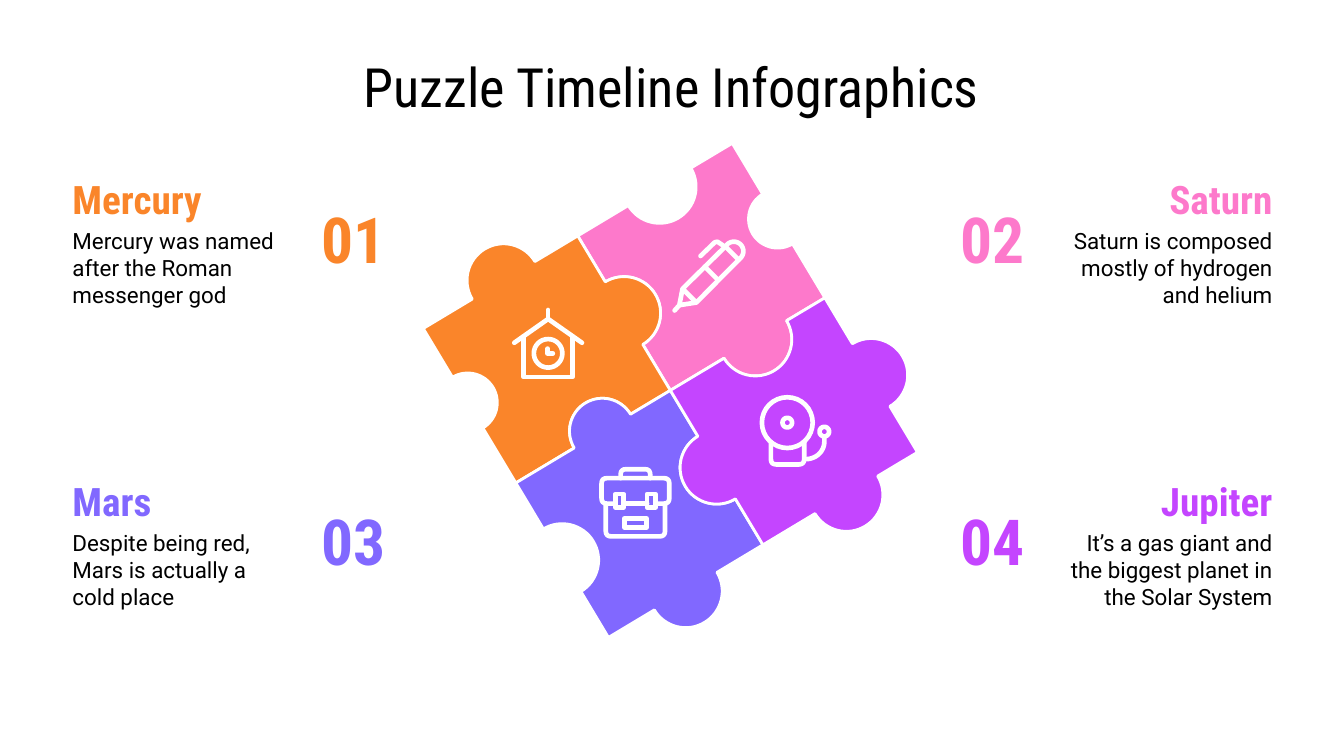
from dataclasses import dataclass
from math import cos, hypot, radians, sin

from lxml.etree import SubElement
from pptx import Presentation
from pptx.dml.color import RGBColor
from pptx.enum.text import MSO_ANCHOR, PP_ALIGN
from pptx.oxml.ns import qn
from pptx.util import Cm, Pt

Point = tuple[float, float]
Path = list[Point]


@dataclass(frozen=True)
class Theme:
    black: str = "000000"
    white: str = "FFFFFF"
    orange: str = "FA852A"
    pink: str = "FD79CB"
    violet: str = "8168FF"
    magenta: str = "C445FF"
    head_font: str = "Roboto Condensed"
    body_font: str = "Roboto"
    title: int = 29
    number: int = 34
    head: int = 21
    body: int = 12
    seam: float = 1.5
    stroke: float = 2.5


@dataclass(frozen=True)
class Knob:
    at: float
    side: int
    radius: float = 0.69


@dataclass(frozen=True)
class Planet:
    number: str
    name: str
    note: str
    color: str
    column: int
    row: int
    note_width: float = 4.39


@dataclass(frozen=True)
class Icon:
    x: float
    y: float
    paths: list[Path]


THEME = Theme()
CENTER = (12.67, 7.38)
ALONG = (2.92, -1.75)
DOWN = (1.75, 2.92)

ROW_EDGES = {
    (-1, -1): Knob(0.52, -1), (0, -1): Knob(0.53, 1),
    (-1, 0): Knob(0.56, -1, 0.62), (0, 0): Knob(0.55, 1),
    (-1, 1): Knob(0.5, 1), (0, 1): Knob(0.54, 1),
}
COLUMN_EDGES = {
    (-1, -1): Knob(0.48, 1, 0.56), (-1, 0): Knob(0.5, 1),
    (0, -1): Knob(0.5, 1), (0, 0): Knob(0.5, -1),
    (1, -1): Knob(0.49, -1, 0.55), (1, 0): Knob(0.5, 1),
}

PLANETS = [
    Planet("01", "Mercury", "Mercury was named after the Roman messenger god",
           THEME.orange, 0, 0, 4.93),
    Planet("03", "Mars", "Despite being red, Mars is actually a cold place",
           THEME.violet, 0, 1),
    Planet("02", "Saturn", "Saturn is composed mostly of hydrogen and helium",
           THEME.pink, 1, 0),
    Planet("04", "Jupiter", "It’s a gas giant and the biggest planet in the Solar System",
           THEME.magenta, 1, 1),
]


def arc(cx: float, cy: float, rx: float, start: float = 0, end: float = 360,
        ry: float | None = None, steps: int = 32) -> Path:
    ry = rx if ry is None else ry
    angles = [radians(start + (end - start) * n / steps) for n in range(steps + 1)]
    return [(cx + rx * cos(a), cy + ry * sin(a)) for a in angles]


def box(left: float, top: float, right: float, bottom: float) -> Path:
    return [(left, top), (right, top), (right, bottom), (left, bottom), (left, top)]


def rounded(points: Path, radius: float = 0.1) -> Path:
    result = [points[0]]
    for (ax, ay), (bx, by), (cx, cy) in zip(points, points[1:], points[2:]):
        ka, kc = radius / hypot(ax - bx, ay - by), radius / hypot(cx - bx, cy - by)
        for t in (0, 0.25, 0.5, 0.75, 1):
            p, q = ka * (1 - t) ** 2, kc * t ** 2
            result.append((bx + p * (ax - bx) + q * (cx - bx),
                           by + p * (ay - by) + q * (cy - by)))
    return result + [points[-1]]


ICONS = [
    Icon(13.41, 5.21, [
        [(-0.51, 0.25), (0.33, -0.58), *arc(0.46, -0.46, 0.18, 225, 405),
         (-0.25, 0.51), (-0.57, 0.56), (-0.51, 0.25), (-0.25, 0.51)],
        [(0.3, -0.55), (0.55, -0.3)],
        [(-0.09, -0.17), (0.16, 0.08)],
        [(-0.57, 0.56), (-0.66, 0.66)],
        [(-0.17, -0.37), (0.1, -0.63), (0.15, -0.64), (0.27, -0.56)],
    ]),
    Icon(12.01, 9.5, [
        rounded([(-0.38, 0.02), (-0.64, 0.02), (-0.64, -0.46),
                 (0.64, -0.46), (0.64, 0.02), (0.38, 0.02)]),
        [(-0.22, 0.02), (0.22, 0.02)],
        box(-0.38, -0.16, -0.22, 0.09),
        box(0.22, -0.16, 0.38, 0.09),
        rounded([(-0.56, 0.03), (-0.56, 0.64), (0.56, 0.64), (0.56, 0.03)]),
        rounded([(-0.28, -0.46), (-0.28, -0.63), (0.28, -0.63), (0.28, -0.46)]),
        box(-0.21, 0.3, 0.21, 0.47),
    ]),
    Icon(14.88, 7.99, [
        arc(0, 0, 0.48),
        arc(0, 0, 0.09),
        rounded([(-0.31, 0.37), (-0.31, 0.79), (0.32, 0.79), (0.32, 0.37)]),
        arc(0.7, 0.17, 0.09),
        [(0.7, 0.26), *arc(0.35, 0.36, 0.35, 0, 90, ry=0.33)],
    ]),
    Icon(10.36, 6.58, [
        [(-0.64, -0.1), (0, -0.55), (0.64, -0.1)],
        [(0, -0.72), (0, -0.55)],
        [(-0.46, -0.22), (-0.46, 0.55), (0.46, 0.55), (0.46, -0.22)],
        arc(0, 0.1, 0.27),
        [(-0.01, 0.01), (-0.01, 0.1), (0.09, 0.1)],
    ]),
]


def edge(i: int, j: int, run: Point, bulge: Point, knob: Knob) -> Path:
    x = CENTER[0] + i * ALONG[0] + j * DOWN[0]
    y = CENTER[1] + i * ALONG[1] + j * DOWN[1]
    size = hypot(*run)
    local = [(0, 0), *arc(knob.at * size, 0, knob.radius, 180, 0,
                          ry=knob.side * knob.radius), (size, 0)]
    return [(x + (a * run[0] + b * bulge[0]) / size,
             y + (a * run[1] + b * bulge[1]) / size) for a, b in local]


def piece(i: int, j: int) -> Path:
    def row(m: int, n: int) -> Path:
        return edge(m, n, ALONG, DOWN, ROW_EDGES[m, n])

    def column(m: int, n: int) -> Path:
        return edge(m, n, DOWN, ALONG, COLUMN_EDGES[m, n])

    return row(i, j) + column(i + 1, j) + row(i, j + 1)[::-1] + column(i, j)[::-1]


def add_outline(slide, paths: list[Path], *, fill: str | None = None,
                width: float, close: bool = False) -> None:
    scaled = [[(Cm(x), Cm(y)) for x, y in path] for path in paths]
    fb = slide.shapes.build_freeform(*scaled[0][0], scale=1.0)
    for n, path in enumerate(scaled):
        if n:
            fb.move_to(*path[0])
        fb.add_line_segments(path[1:], close=close)
    sp = fb.convert_to_shape()
    sp.shadow.inherit = False
    if fill:
        sp.fill.solid()
        sp.fill.fore_color.rgb = RGBColor.from_string(fill)
    else:
        sp.fill.background()
    sp.line.color.rgb = RGBColor.from_string(THEME.white)
    sp.line.width = Pt(width)
    ln = sp.line._get_or_add_ln()
    ln.set("cap", "rnd")
    SubElement(ln, qn("a:round"))


def add_text(slide, text: str, *, left: float, top: float, width: float, height: float,
             size: int, color: str = THEME.black, font: str = THEME.head_font,
             bold: bool = False, align=PP_ALIGN.LEFT, anchor=MSO_ANCHOR.MIDDLE) -> None:
    tf = slide.shapes.add_textbox(Cm(left), Cm(top), Cm(width), Cm(height)).text_frame
    tf.word_wrap = True
    tf.vertical_anchor = anchor
    tf.margin_left = tf.margin_right = tf.margin_top = tf.margin_bottom = Cm(0.25)
    p = tf.paragraphs[0]
    p.alignment = align
    r = p.add_run()
    r.text = text
    r.font.name, r.font.size, r.font.bold = font, Pt(size), bold
    r.font.color.rgb = RGBColor.from_string(color)


def add_planet(slide, planet: Planet) -> None:
    left, number_left = ((1.12, 5.82), (19.91, 17.37))[planet.column]
    align = (PP_ALIGN.LEFT, PP_ALIGN.RIGHT)[planet.column]
    top = 3.27 + 5.72 * planet.row
    add_text(slide, planet.name, left=left, top=top, width=4.39, height=0.97,
             size=THEME.head, color=planet.color, bold=True, align=align)
    add_text(slide, planet.note, left=left, top=top + 0.77, width=planet.note_width,
             height=1.68, size=THEME.body, font=THEME.body_font, align=align,
             anchor=MSO_ANCHOR.TOP)
    add_text(slide, planet.number, left=number_left, top=top + 0.77, width=2.24,
             height=0.91, size=THEME.number, color=planet.color, bold=True, align=align)


def main() -> None:
    prs = Presentation()
    prs.slide_width, prs.slide_height = Cm(25.4), Cm(14.29)
    slide = prs.slides.add_slide(prs.slide_layouts[6])
    add_text(slide, "Puzzle Timeline Infographics", left=1.14, top=1.27, width=23.11,
             height=0.69, size=THEME.title, align=PP_ALIGN.CENTER)
    for i, j, color in ((0, -1, THEME.pink), (-1, -1, THEME.orange),
                        (-1, 0, THEME.violet), (0, 0, THEME.magenta)):
        add_outline(slide, [piece(i, j)], fill=color, width=THEME.seam, close=True)
    for planet in PLANETS:
        add_planet(slide, planet)
    for icon in ICONS:
        paths = [[(icon.x + x, icon.y + y) for x, y in path] for path in icon.paths]
        add_outline(slide, paths, width=THEME.stroke)
    prs.save("out.pptx")


if __name__ == "__main__":
    main()
